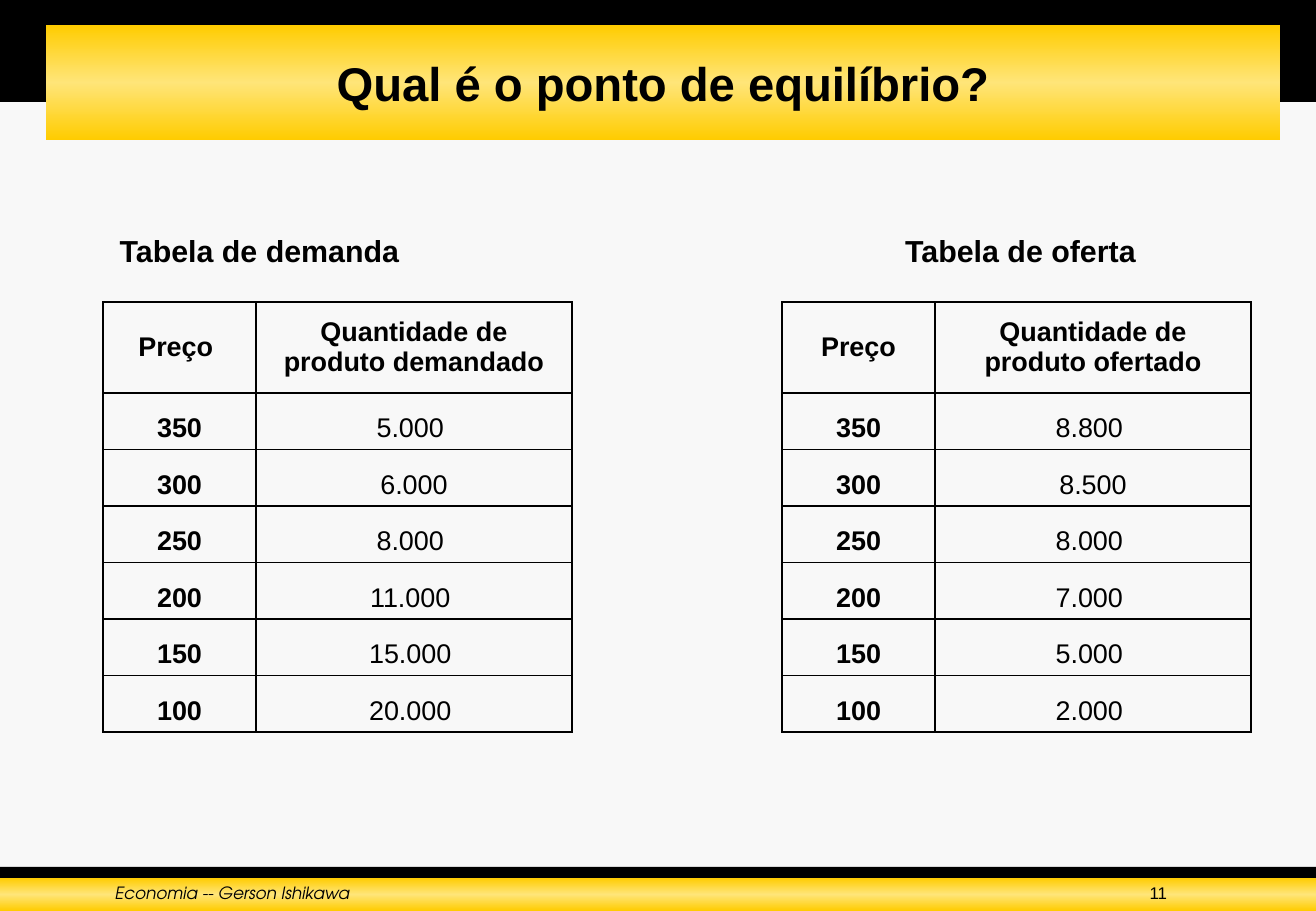
from lxml.etree import SubElement
from pptx import Presentation
from pptx.dml.color import RGBColor
from pptx.enum.shapes import MSO_SHAPE
from pptx.enum.text import MSO_ANCHOR, PP_ALIGN
from pptx.oxml.ns import qn
from pptx.util import Pt

TITLE = "Qual é o ponto de equilíbrio?"
FOOTER = "Economia -- Gerson Ishikawa"
PAGE_NUMBER = "11"
PRICES = ["350", "300", "250", "200", "150", "100"]
# The space after a number shifts it slightly left in its centred cell.
SCHEDULES = [
    {"caption": "Tabela de demanda", "caption_box": (106, 226, 307, 49), "left": 103,
     "header": ("Preço ", "Quantidade de produto demandado"),
     "amounts": ["5.000 ", "6.000", "8.000 ", "11.000 ", "15.000 ", "20.000 "]},
    {"caption": "Tabela de oferta", "caption_box": (892, 226, 257, 49), "left": 782,
     "header": ("Preço", "Quantidade de produto ofertado"),
     "amounts": ["8.800 ", "8.500", "8.000 ", "7.000 ", "5.000 ", "2.000 "]},
]

THEME = {
    "background": "F8F8F8", "black": "000000", "gold": "FFCC00", "light_gold": "FFE579",
    "font": "Arial", "footer_font": "TeX Gyre Adventor",
    "title": 28, "caption": 18, "cell": 16, "footer": 10, "border": 1,
}
SCALE = 914400 / 121.5
SLIDE_W, SLIDE_H = 1316, 911
TABLE_TOP, TABLE_H, HEADER_H = 302, 430, 91
COLUMNS = (153, 316)


def px(length):
    """Turn pixels into EMU."""
    return round(length * SCALE)


def write(tf, text, size, bold=False, italic=False, align=PP_ALIGN.CENTER,
          font=THEME["font"]):
    """Put one styled paragraph in a text frame."""
    tf.text = text
    p = tf.paragraphs[0]
    p.alignment = align
    r = p.runs[0]
    r.font.name, r.font.size = font, Pt(THEME[size])
    r.font.bold, r.font.italic = bold, italic
    r.font.color.rgb = RGBColor.from_string(THEME["black"])


def add_band(slide, box, gold=False):
    """Add a borderless black or gold gradient band."""
    sp = slide.shapes.add_shape(MSO_SHAPE.RECTANGLE, *map(px, box))
    sp.shadow.inherit = False
    sp.line.fill.background()
    if not gold:
        sp.fill.solid()
        sp.fill.fore_color.rgb = RGBColor.from_string(THEME["black"])
        return sp
    sp.fill.gradient()
    sp.fill.gradient_angle = 90
    stops = next(sp._element.spPr.iter(qn("a:gsLst")))
    for stop in list(stops):
        stops.remove(stop)
    for pos, color in ((0, "gold"), (50000, "light_gold"), (100000, "gold")):
        stop = SubElement(stops, qn("a:gs"), pos=str(pos))
        SubElement(stop, qn("a:srgbClr"), val=THEME[color])
    return sp


def add_text(slide, box, text, size, wrap=True, **style):
    """Add a text box."""
    tf = slide.shapes.add_textbox(*map(px, box)).text_frame
    tf.word_wrap = wrap
    write(tf, text, size, **style)


def style_cell(cell):
    """Clear the cell's fill and draw its four borders."""
    tc_pr = cell._tc.get_or_add_tcPr()
    for side in ("lnL", "lnR", "lnT", "lnB"):
        ln = SubElement(tc_pr, qn(f"a:{side}"), w=str(Pt(THEME["border"])))
        fill = SubElement(ln, qn("a:solidFill"))
        SubElement(fill, qn("a:srgbClr"), val=THEME["black"])
    cell.fill.background()


def add_schedule(slide, schedule):
    """Add a captioned table of prices and quantities."""
    rows = [schedule["header"], *zip(PRICES, schedule["amounts"])]
    box = (schedule["left"], TABLE_TOP, sum(COLUMNS), TABLE_H)
    table = slide.shapes.add_table(len(rows), len(COLUMNS), *map(px, box)).table
    table.first_row = table.horz_banding = False
    for column, width in zip(table.columns, COLUMNS):
        column.width = px(width)
    row_h = (TABLE_H - HEADER_H) / len(PRICES)
    for i, texts in enumerate(rows):
        table.rows[i].height = px(row_h if i else HEADER_H)
        for j, text in enumerate(texts):
            cell = table.cell(i, j)
            cell.vertical_anchor = MSO_ANCHOR.BOTTOM if i else MSO_ANCHOR.MIDDLE
            write(cell.text_frame, text, "cell", bold=i == 0 or j == 0)
            style_cell(cell)
    add_text(slide, schedule["caption_box"], schedule["caption"], "caption",
             wrap=False, bold=True)


prs = Presentation()
prs.slide_width, prs.slide_height = px(SLIDE_W), px(SLIDE_H)
slide = prs.slides.add_slide(prs.slide_layouts[6])
slide.background.fill.solid()
slide.background.fill.fore_color.rgb = RGBColor.from_string(THEME["background"])

add_band(slide, (0, 0, SLIDE_W, 102))
title_band = add_band(slide, (46, 25, 1234, 115), gold=True)
title_band.text_frame.vertical_anchor = MSO_ANCHOR.MIDDLE
write(title_band.text_frame, TITLE, "title", bold=True)
add_band(slide, (0, 867, SLIDE_W, 44))
add_band(slide, (0, 878, SLIDE_W, 33), gold=True)
add_text(slide, (103, 877, 756, 34), FOOTER, "footer", italic=True,
         align=PP_ALIGN.LEFT, font=THEME["footer_font"])
add_text(slide, (1041, 877, 138, 34), PAGE_NUMBER, "footer", align=PP_ALIGN.RIGHT)
for schedule in SCHEDULES:
    add_schedule(slide, schedule)

prs.save("out.pptx")
